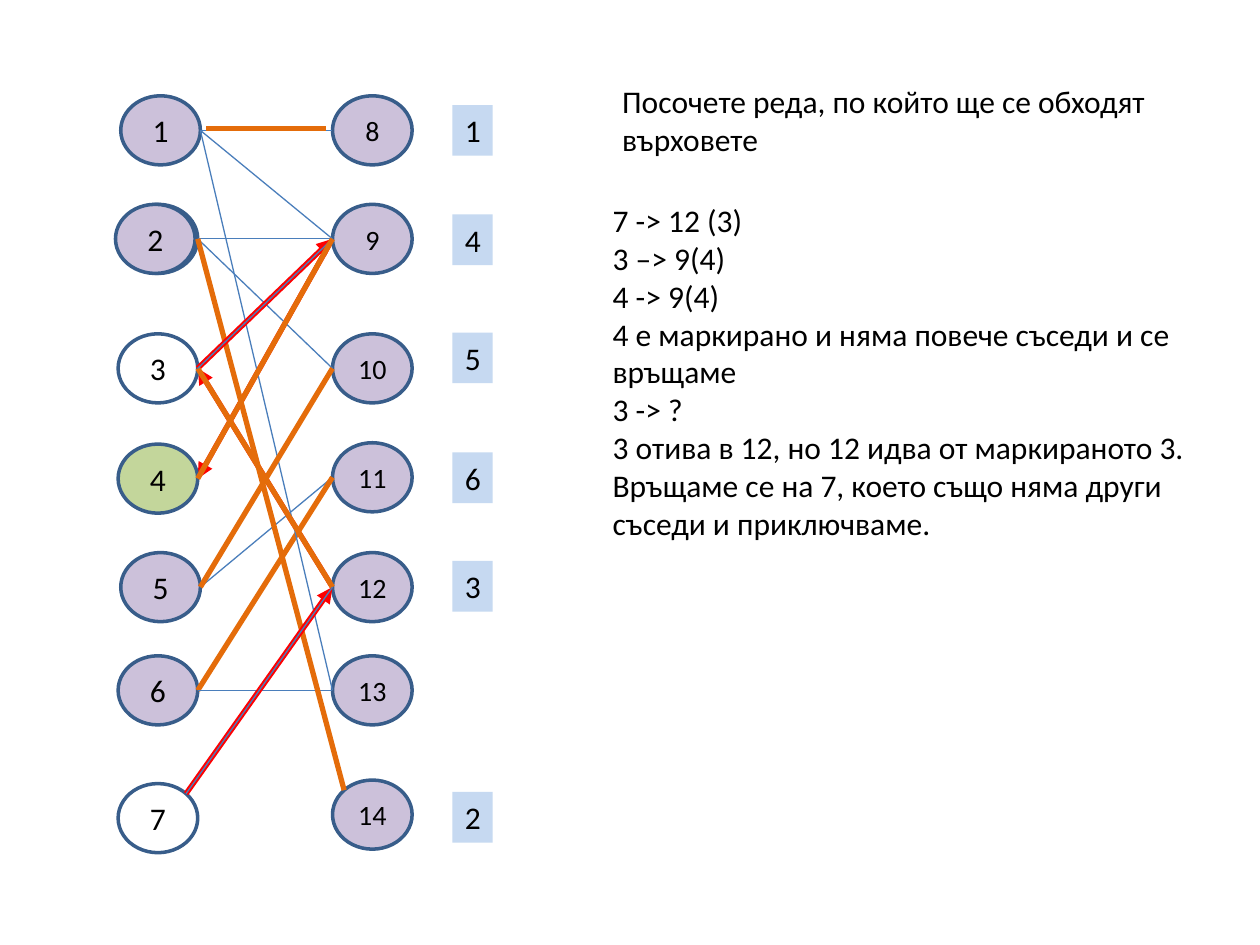
from lxml.etree import SubElement
from pptx import Presentation
from pptx.dml.color import RGBColor
from pptx.enum.shapes import MSO_CONNECTOR, MSO_SHAPE
from pptx.enum.text import MSO_ANCHOR, MSO_AUTO_SIZE, PP_ALIGN
from pptx.oxml.ns import qn
from pptx.util import Pt

HUES = {"lilac": "CCC1DA", "green": "C3D69B", "white": "FFFFFF", "rim": "385D8A",
        "thin": "4A7EBB", "path": "E46C0A", "red": "FF0000", "box": "C6D9F1",
        "text": "000000"}
WIDE, HIGH = 45.5, 39.5
RIGHT = 190


def write(shape, lines, size=18, align=PP_ALIGN.LEFT, **form):
    """Fill a shape with paragraphs; form holds text frame settings."""
    frame = shape.text_frame
    for key, value in form.items():
        setattr(frame, key, value)
    frame.text = "\n".join(lines)
    face = {"name": "Calibri", "size": Pt(size)}
    for par in frame.paragraphs:
        par.alignment = align
        for key, value in face.items():
            setattr(par.font, key, value)
        par.font.color.rgb = RGBColor.from_string(HUES["text"])


def link(start, end, kind):
    """Draw a line between two points; red ones carry an arrowhead."""
    wire = shapes.add_connector(MSO_CONNECTOR.STRAIGHT, *map(Pt, start + end))
    wire.line.color.rgb = RGBColor.from_string(HUES[kind])
    wire.line.width = Pt(0.75 if kind == "thin" else 3)
    if kind == "red":
        SubElement(wire.line._get_or_add_ln(), qn("a:tailEnd"), type="triangle")
    SubElement(wire._element.spPr, qn("a:effectLst"))


deck = Presentation()
deck.slide_width, deck.slide_height = Pt(720), Pt(540)
slide = deck.slides.add_slide(deck.slide_layouts[6])
shapes = slide.shapes

# Nodes: label, left, middle height, fill
mids = [74.5, 136.5, 210.5, 273.5, 335.5, 394.5, 467.5]
fills = {3: "white", 4: "green", 7: "white"}
nodes = []
for num, mid in enumerate(mids, 1):
    left = 69 if num in (1, 5) else 67.5
    nodes.append((num, left, mid, fills.get(num, "lilac")))
nodes.insert(2, (2, 66, 136.5, "lilac"))
for num, mid in enumerate(mids, 8):
    shift = {11: -0.75, 14: -2}.get(num, 0)
    nodes.append((num, RIGHT, mid + shift, "lilac"))

# Points where the edges meet the nodes
ports = {}
for num, left, mid, fill in nodes:
    if (num, left) != (2, 66):
        ports[num] = (left if num > 7 else left + WIDE, mid)
slant = 0.5 ** 0.5
ports[7] = (67.5 + WIDE * (1 + slant) / 2, mids[6] - HIGH * slant / 2)
ports[14] = (RIGHT + WIDE * (1 - slant) / 2, mids[6] - 2 - HIGH * slant / 2)

for a, b in [(9, 4), (12, 3)]:
    link(ports[a], ports[b], "red")

for num, left, mid, fill in nodes:
    node = shapes.add_shape(MSO_SHAPE.OVAL, Pt(left), Pt(mid - HIGH / 2),
                            Pt(WIDE), Pt(HIGH))
    node.shadow.inherit = False
    node.fill.solid()
    node.fill.fore_color.rgb = RGBColor.from_string(HUES[fill])
    node.line.color.rgb = RGBColor.from_string(HUES["rim"])
    node.line.width = Pt(2)
    write(node, [str(num)], 18 if num < 8 else 16, PP_ALIGN.CENTER,
          vertical_anchor=MSO_ANCHOR.MIDDLE)

edges = [
    ("thin", [(1, 8), (1, 9), (2, 9), (2, 10), (5, 10), (5, 11)]),
    ("path", [(6, 11)]),
    ("thin", [(6, 13), (1, 13), (2, 14)]),
    ("path", [(5, 10), (2, 14)]),
    ("red", [(7, 12), (3, 9)]),
    ("path", [(3, 12)]),
    ("thin", [(7, 12), (3, 9)]),
    ("path", [(4, 9)]),
]
for kind, pairs in edges:
    for a, b in pairs:
        link(ports[a], ports[b], kind)
link((118, 73.5), (186.5, 73.5), "path")

# Matching found for each right-hand node
for num, top in [(1, 60), (4, 122.5), (5, 190), (6, 258.5), (3, 320.5), (2, 452.5)]:
    box = shapes.add_shape(MSO_SHAPE.RECTANGLE, Pt(258.5), Pt(top), Pt(23), Pt(29))
    box.shadow.inherit = False
    box.fill.solid()
    box.fill.fore_color.rgb = RGBColor.from_string(HUES["box"])
    box.line.fill.background()
    write(box, [str(num)], word_wrap=False, vertical_anchor=MSO_ANCHOR.TOP,
          auto_size=MSO_AUTO_SIZE.SHAPE_TO_FIT_TEXT)

task = ["Посочете реда, по който ще се обходят върховете"]
steps = [
    "7 -> 12 (3)",
    "3 –> 9(4)",
    "4 -> 9(4)",
    "4 е маркирано и няма повече съседи и се връщаме",
    "3 -> ?",
    "3 отива в 12, но 12 идва от маркираното 3.",
    "Връщаме се на 7, което също няма други съседи и приключваме.",
]
for lines, *area in [(task, 348.5, 43.5, 340.5, 50.5), (steps, 343, 111.5, 351, 201.5)]:
    note = shapes.add_textbox(*map(Pt, area))
    write(note, lines, word_wrap=True, auto_size=MSO_AUTO_SIZE.SHAPE_TO_FIT_TEXT)

deck.save("out.pptx")
